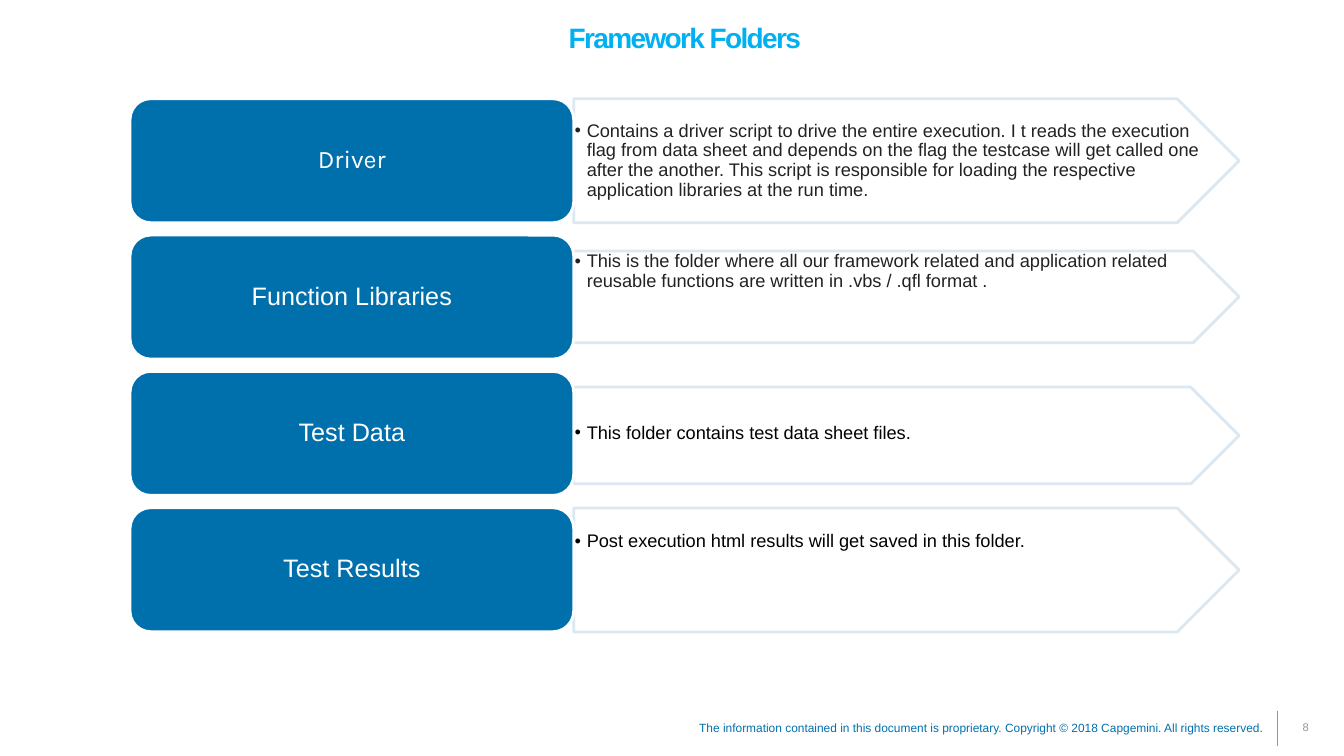
from lxml.etree import SubElement as Sub
from pptx import Presentation as Deck
from pptx.dml.color import RGBColor as Rgb
from pptx.enum.shapes import MSO_CONNECTOR as Conn, MSO_SHAPE as Kind
from pptx.enum.text import MSO_ANCHOR as Anchor, PP_ALIGN as Align
from pptx.oxml.ns import qn
from pptx.util import Pt

PX = 9144  # EMU in one px, 100 px to the inch
INK = {
    "blue": "0070AD", "sky": "00B0F0", "pale": "D8E6F0", "white": "FFFFFF",
    "gray": "969696", "dark": "222222", "black": "000000",
}
LEFT, MID, WIDE, LONG = 129, 569, 440, 660
TOP, STEP, TALL = 98, 135.25, 123

# label, font, arrow top, arrow height, text inset (None = centred), colour, text
ROWS = [
    ("Driver", "Karla", 98, 123, None, "dark",
     "Contains a driver script to drive the entire execution. I t reads the "
     "execution flag from data sheet and depends on the flag the testcase will "
     "get called one after the another. This script is responsible for loading "
     "the respective application libraries at the run time."),
    ("Function Libraries", "Arial", 249, 91, 1, "dark",
     "This is the folder where all our framework related and application "
     "related reusable functions are written in .vbs / .qfl format ."),
    ("Test Data", "Arial", 384, 96, 36, "black",
     "This folder contains test data sheet files."),
    ("Test Results", "Arial", 504, 123, 24, "black",
     "Post execution html results will get saved in this folder."),
]


def rgb(name):
    return Rgb.from_string(INK[name])


def area(x, y, w, h):
    return [round(n * PX) for n in (x, y, w, h)]


def write(item, text, size, ink, font="Arial", align=Align.LEFT,
          lead=0.9, pad=(10, 5, 10, 5), anchor=Anchor.MIDDLE, dot=0):
    """Put one paragraph in a shape; dot is the bullet's hanging indent."""
    frame = item.text_frame
    frame.word_wrap = True
    frame.vertical_anchor = anchor
    (frame.margin_left, frame.margin_top,
     frame.margin_right, frame.margin_bottom) = area(*pad)
    frame.text = text
    para = frame.paragraphs[0]
    para.alignment = align
    para.line_spacing = lead
    if dot:
        props = para._p.get_or_add_pPr()
        props.set("marL", str(dot * PX))
        props.set("indent", str(-dot * PX))
        Sub(props, qn("a:buFont"), typeface="Arial")
        Sub(props, qn("a:buChar"), char="•")
    run = para.runs[0]
    run.font.size = Pt(size)
    run.font.name = font
    run.font.color.rgb = rgb(ink)
    return run


def label(slide, box, *args, **opts):
    return write(slide.shapes.add_textbox(*area(*box)), *args, **opts)


def block(slide, kind, box, fill, edge):
    item = slide.shapes.add_shape(kind, *area(*box))
    item.shadow.inherit = False
    item.fill.solid()
    item.fill.fore_color.rgb = rgb(fill)
    item.line.color.rgb = rgb(edge)
    item.line.width = Pt(2)
    return item


def fade(item):
    """Make fill and line 90 % opaque."""
    for tint in item._element.spPr.iter(qn("a:srgbClr")):
        Sub(tint, qn("a:alpha"), val="90000")


def folder(slide, num, name, font, top, high, inset, ink, text):
    # Arrow with the description
    arrow = block(slide, Kind.PENTAGON, (MID, top, LONG, high), "white", "pale")
    fade(arrow)
    anchor = Anchor.MIDDLE if inset is None else Anchor.TOP
    write(arrow, text, 13, ink, pad=(1, inset or 1, 1, 1), anchor=anchor, dot=12)
    # Box with the folder name
    box = block(slide, Kind.ROUNDED_RECTANGLE,
                (LEFT, TOP + num * STEP, WIDE, TALL), "blue", "white")
    write(box, name, 18, "white", font, Align.CENTER, pad=(7, 4, 7, 4))


def footer(slide):
    rule = slide.shapes.add_connector(Conn.STRAIGHT, *area(1267, 705, 1267, 740))
    rule.line.color.rgb = rgb("gray")
    rule.line.width = Pt(0.75)
    Sub(rule._element.spPr, qn("a:effectLst"))
    label(slide, (1267, 705, 56, 35), "8", 8, "gray",
          align=Align.CENTER, lead=0.85)
    label(slide, (599, 712, 664, 22),
          "The information contained in this document is proprietary. "
          "Copyright © 2018 Capgemini. All rights reserved.",
          8.5, "blue", align=Align.RIGHT, lead=0.85, anchor=Anchor.TOP)


def main():
    deck = Deck()
    deck.slide_width, deck.slide_height = 1333 * PX, 750 * PX
    slide = deck.slides.add_slide(deck.slide_layouts[6])
    footer(slide)
    # Title
    run = label(slide, (536, -18, 339, 116), "Framework Folders", 20, "sky",
                lead=0.85, pad=(28, 3, 15, 3))
    run.font.bold = True
    run._r.get_or_add_rPr().set("spc", "-120")
    # Folder rows
    for num, row in enumerate(ROWS):
        folder(slide, num, *row)
    deck.save("out.pptx")


if __name__ == "__main__":
    main()
